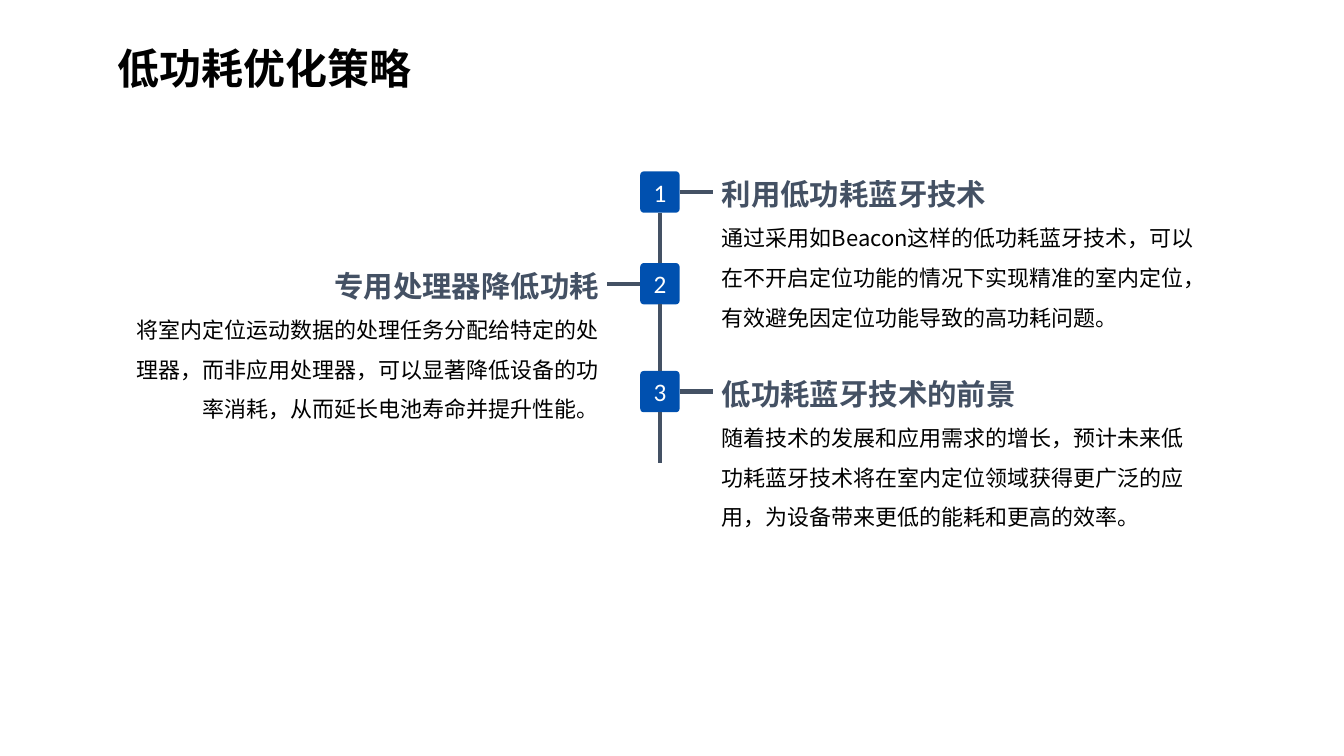
from lxml import etree
from pptx import Presentation
from pptx.dml.color import RGBColor
from pptx.enum.shapes import MSO_CONNECTOR, MSO_SHAPE
from pptx.enum.text import MSO_ANCHOR, MSO_AUTO_SIZE, PP_ALIGN
from pptx.oxml.ns import qn
from pptx.util import Inches, Pt

COLORS = {"black": "000000", "slate": "445164", "blue": "0050AF", "white": "FFFFFF"}
CJK_FONT = "Noto Sans CJK SC"
BADGE_LEFT, BADGE_WIDTH, BADGE_HEIGHT = 6.35, 0.39, 0.41
BRANCH_LENGTH = 0.33
TEXT_WIDTH, TEXT_HEIGHT = 4.97, 1.63
TRUNK_END = 4.59

# Top, side of the text, heading, body
STRATEGIES = [
    (1.7, "right", "利用低功耗蓝牙技术",
     "通过采用如Beacon这样的低功耗蓝牙技术，可以在不开启定位功能的情况下实现精准的室内定位，"
     "有效避免因定位功能导致的高功耗问题。"),
    (2.61, "left", "专用处理器降低功耗",
     "将室内定位运动数据的处理任务分配给特定的处理器，而非应用处理器，可以显著降低设备的功率消耗，"
     "从而延长电池寿命并提升性能。"),
    (3.68, "right", "低功耗蓝牙技术的前景",
     "随着技术的发展和应用需求的增长，预计未来低功耗蓝牙技术将在室内定位领域获得更广泛的应用，"
     "为设备带来更低的能耗和更高的效率。"),
]


def color(name):
    return RGBColor.from_string(COLORS[name])


def write(paragraph, text, size, fill="black", bold=False, font=CJK_FONT,
          align=PP_ALIGN.LEFT, spacing=1.0):
    paragraph.alignment = align
    paragraph.line_spacing = spacing
    run = paragraph.add_run()
    run.text = text
    run.font.size = Pt(size)
    run.font.bold = bold
    run.font.name = font
    run.font.color.rgb = color(fill)
    east_asian = etree.SubElement(run.font._element, qn("a:ea"))
    east_asian.set("typeface", font)


def set_frame(frame):
    frame.word_wrap = True
    frame.auto_size = MSO_AUTO_SIZE.NONE
    frame.vertical_anchor = MSO_ANCHOR.MIDDLE


def place_title(slide, text, left, top, width, height):
    title = slide.shapes.title
    title.left, title.top = Inches(left), Inches(top)
    title.width, title.height = Inches(width), Inches(height)
    set_frame(title.text_frame)
    write(title.text_frame.paragraphs[0], text, 30, bold=True, spacing=1.5)


def add_line(slide, start, start_site, end_x, end_y):
    """Draw a line from a badge's connection site to a point."""
    line = slide.shapes.add_connector(MSO_CONNECTOR.STRAIGHT, 0, 0, end_x, end_y)
    line.begin_connect(start, start_site)
    line.line.color.rgb = color("slate")
    line.line.width = Pt(3)
    etree.SubElement(line._element.spPr, qn("a:effectLst"))
    return line


def add_badge(slide, number, left, top):
    badge = slide.shapes.add_shape(
        MSO_SHAPE.ROUNDED_RECTANGLE, Inches(left), Inches(top),
        Inches(BADGE_WIDTH), Inches(BADGE_HEIGHT))
    badge.adjustments[0] = 0.09
    badge.shadow.inherit = False
    badge.fill.solid()
    badge.fill.fore_color.rgb = color("blue")
    badge.line.fill.background()
    frame = badge.text_frame
    set_frame(frame)
    frame.margin_left = frame.margin_right = 0
    frame.margin_top = frame.margin_bottom = 0
    write(frame.paragraphs[0], str(number), 18, fill="white", font="Calibri",
          align=PP_ALIGN.CENTER)
    return badge


def add_strategy_text(slide, heading, body, left, top, align):
    box = slide.shapes.add_textbox(
        Inches(left), Inches(top), Inches(TEXT_WIDTH), Inches(TEXT_HEIGHT))
    frame = box.text_frame
    set_frame(frame)
    write(frame.paragraphs[0], heading, 21, fill="slate", bold=True, align=align)
    write(frame.add_paragraph(), body, 15.7, align=align, spacing=1.5)


def add_strategy(slide, number, top, side, heading, body):
    """Add a badge with its branch and text, and return the badge."""
    badge = add_badge(slide, number, BADGE_LEFT, top)
    if side == "right":
        branch_end = BADGE_LEFT + BADGE_WIDTH + BRANCH_LENGTH
        text_left, site, align = branch_end - 0.01, 3, PP_ALIGN.LEFT
    else:
        branch_end = BADGE_LEFT - BRANCH_LENGTH
        text_left, site, align = branch_end + 0.02 - TEXT_WIDTH, 1, PP_ALIGN.RIGHT
    add_line(slide, badge, site, Inches(branch_end), badge.top + badge.height // 2)
    add_strategy_text(slide, heading, body, text_left, top, align)
    return badge


def add_timeline(slide, strategies):
    badges = [add_strategy(slide, number, *strategy)
              for number, strategy in enumerate(strategies, start=1)]
    for upper, lower in zip(badges, badges[1:]):
        add_line(slide, upper, 2, lower.left, lower.top).end_connect(lower, 0)
    last = badges[-1]
    add_line(slide, last, 2, last.left + last.width // 2, Inches(TRUNK_END))


def main():
    presentation = Presentation()
    presentation.slide_width = Inches(13.33)
    presentation.slide_height = Inches(7.5)
    slide = presentation.slides.add_slide(presentation.slide_layouts[5])
    place_title(slide, "低功耗优化策略", 1.07, 0.12, 10.25, 0.85)
    add_timeline(slide, STRATEGIES)
    presentation.save("out.pptx")


if __name__ == "__main__":
    main()
